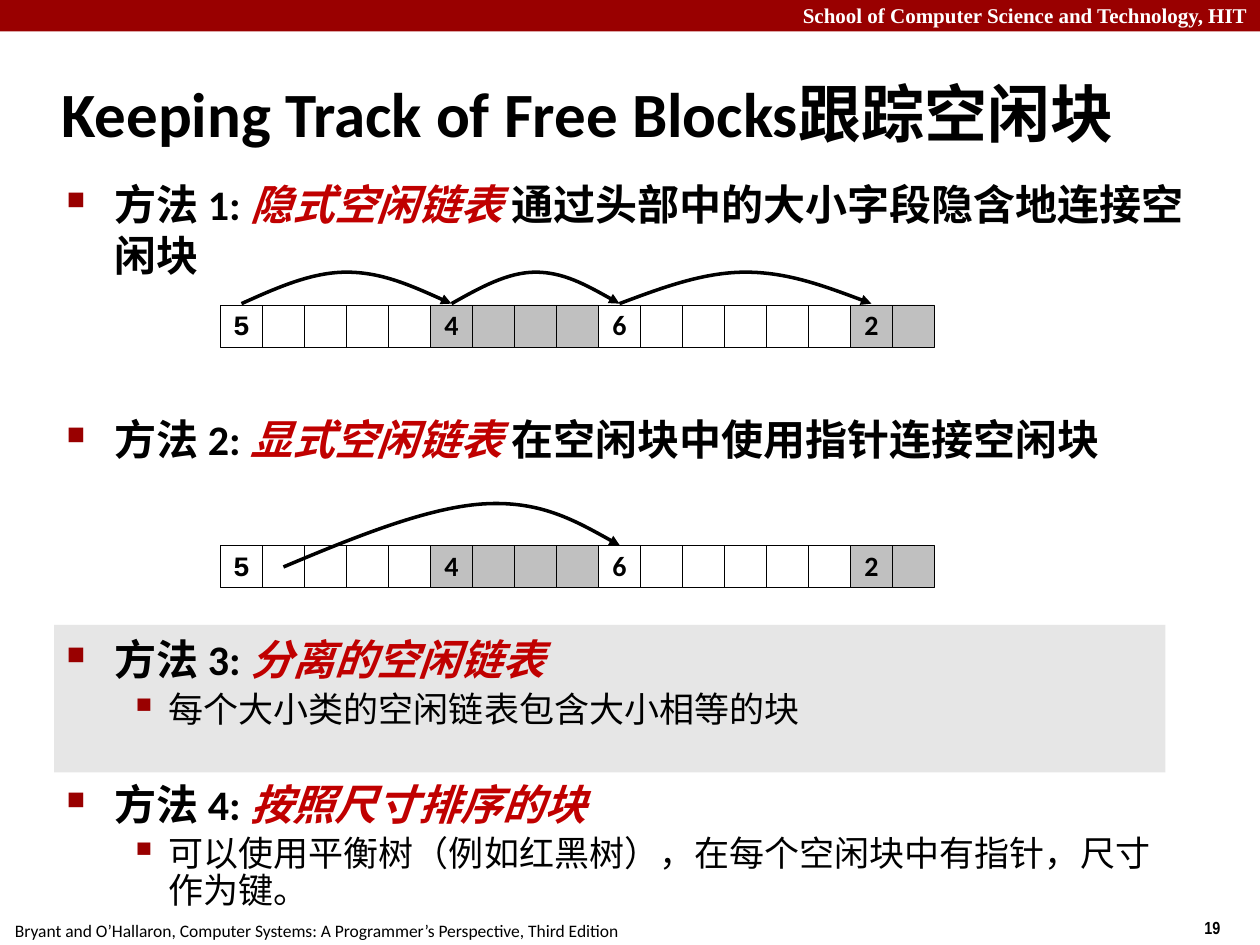
from dataclasses import dataclass

from lxml.etree import SubElement
from pptx import Presentation
from pptx.dml.color import RGBColor
from pptx.enum.shapes import MSO_SHAPE
from pptx.enum.text import MSO_ANCHOR, PP_ALIGN
from pptx.oxml.ns import qn
from pptx.util import Inches, Pt

BLACK = RGBColor(0x00, 0x00, 0x00)
WHITE = RGBColor(0xFF, 0xFF, 0xFF)
DARK_RED = RGBColor(0x99, 0x00, 0x00)
TERM_RED = RGBColor(0xC0, 0x00, 0x00)
BAND_GRAY = RGBColor(0xE6, 0xE6, 0xE6)
USED_GRAY = RGBColor(0xC0, 0xC0, 0xC0)

CELL = 1 / 3
HEAP_LEFT = 1.75


@dataclass(frozen=True)
class Block:
    size: int
    fill: RGBColor
    font: str = "Calibri"
    line_spacing: float = 0.98


@dataclass(frozen=True)
class Level:
    bullet: str
    bullet_size: int
    margin: float
    hanging: float
    size: int
    bold: bool


@dataclass(frozen=True)
class Method:
    label: str
    term: str
    rest: str = ""
    detail: str = ""
    before: float = 0
    line_spacing: float = 1.0


BLOCKS = [
    Block(5, WHITE, "Courier New", 0.94),
    Block(4, USED_GRAY),
    Block(6, WHITE),
    Block(2, USED_GRAY),
]
METHOD_LEVEL = Level("■", 60, 0.38, 0.38, 24, True)
DETAIL_LEVEL = Level("▪", 110, 0.81, 0.31, 20, False)
METHODS = [
    Method("方法 1: ", "隐式空闲链表 ", "通过头部中的大小字段隐含地连接空闲块"),
    Method("方法 2: ", "显式空闲链表 ", "在空闲块中使用指针连接空闲块", before=76.5),
    Method("方法 3: ", "分离的空闲链表", detail="每个大小类的空闲链表包含大小相等的块",
           before=102, line_spacing=0.83),
    Method("方法 4: ", "按照尺寸排序的块",
           detail="可以使用平衡树（例如红黑树），在每个空闲块中有指针，尺寸作为键。",
           before=32.5, line_spacing=0.83),
]


def add_run(p, text: str, *, size: float, font: str = "Calibri",
            color: RGBColor = BLACK, bold: bool = False, italic: bool = False) -> None:
    r = p.add_run()
    r.text = text
    r.font.size = Pt(size)
    r.font.name = font
    r.font.color.rgb = color
    r.font.bold = bold
    r.font.italic = italic


def add_text_box(s, x: float, y: float, w: float, h: float, wrap: bool = True):
    tf = s.shapes.add_textbox(Inches(x), Inches(y), Inches(w), Inches(h)).text_frame
    tf.word_wrap = wrap
    return tf


def add_rect(s, x: float, y: float, w: float, h: float, fill: RGBColor,
             outlined: bool = False):
    sp = s.shapes.add_shape(MSO_SHAPE.RECTANGLE, Inches(x), Inches(y), Inches(w), Inches(h))
    sp.shadow.inherit = False
    sp.fill.solid()
    sp.fill.fore_color.rgb = fill
    if outlined:
        sp.line.color.rgb = BLACK
        sp.line.width = Pt(0.25)
    else:
        sp.line.fill.background()
    return sp


def add_heap(s, y: float) -> None:
    """Draw the blocks as a row of words, each headed by its size."""
    x = HEAP_LEFT
    for block in BLOCKS:
        for word in range(block.size):
            sp = add_rect(s, x, y, CELL, CELL, block.fill, outlined=True)
            if word == 0:
                tf = sp.text_frame
                tf.word_wrap = False
                tf.vertical_anchor = MSO_ANCHOR.MIDDLE
                p = tf.paragraphs[0]
                p.alignment = PP_ALIGN.CENTER
                p.line_spacing = block.line_spacing
                add_run(p, str(block.size), size=16, font=block.font, bold=True)
            x += CELL


def add_curve(s, start: tuple[float, float], *points: tuple[float, float]) -> None:
    """Draw an arrow of cubic curves; every three points make one curve."""
    emu = [(Inches(x), Inches(y)) for x, y in points]
    fb = s.shapes.build_freeform(Inches(start[0]), Inches(start[1]))
    fb.add_line_segments(emu, close=False)
    sp = fb.convert_to_shape()
    sp.shadow.inherit = False
    sp.fill.background()
    sp.line.color.rgb = BLACK
    sp.line.width = Pt(2)
    SubElement(sp.line._get_or_add_ln(), qn("a:tailEnd"), type="triangle")

    segments = list(sp._element.iter(qn("a:lnTo")))
    outline = segments[0].getparent()
    for i, segment in enumerate(segments):
        if i % 3 == 0:
            curve = SubElement(outline, qn("a:cubicBezTo"))
        curve.append(segment[0])
        outline.remove(segment)


def add_header_link(s, first: int, last: int, y: float, peak: float) -> None:
    """Join the headers of two words by a symmetric arc."""
    x1, x2 = (HEAP_LEFT + (n + 0.5) * CELL for n in (first, last))
    step = (x2 - x1) / 6
    shoulder = (y + peak) / 2
    add_curve(s, (x1, y),
              (x1 + step, shoulder), (x1 + 2 * step, peak), (x1 + 3 * step, peak),
              (x1 + 4 * step, peak), (x1 + 5 * step, shoulder), (x2, y))


def format_bullet(p, level: Level) -> None:
    pPr = p._p.get_or_add_pPr()
    pPr.set("marL", str(Inches(level.margin)))
    pPr.set("indent", str(-Inches(level.hanging)))
    color = SubElement(pPr, qn("a:buClr"))
    SubElement(color, qn("a:srgbClr"), val=str(DARK_RED))
    SubElement(pPr, qn("a:buSzPct"), val=str(level.bullet_size * 1000))
    SubElement(pPr, qn("a:buChar"), char=level.bullet)


def add_methods(s) -> None:
    tf = add_text_box(s, 0.43, 1.37, 9.07, 5.88)
    for i, method in enumerate(METHODS):
        p = tf.add_paragraph() if i else tf.paragraphs[0]
        format_bullet(p, METHOD_LEVEL)
        p.line_spacing = method.line_spacing
        p.space_before = Pt(method.before)
        style = {"size": METHOD_LEVEL.size, "bold": METHOD_LEVEL.bold}
        add_run(p, method.label, **style)
        add_run(p, method.term, color=TERM_RED, italic=True, **style)
        if method.rest:
            add_run(p, method.rest, **style)
        if method.detail:
            p = tf.add_paragraph()
            p.level = 1
            format_bullet(p, DETAIL_LEVEL)
            p.line_spacing = 0.88
            p.space_before = Pt(5)
            add_run(p, method.detail, size=DETAIL_LEVEL.size, bold=DETAIL_LEVEL.bold)


def main() -> None:
    prs = Presentation()
    prs.slide_width, prs.slide_height = Inches(10), Inches(7.5)
    s = prs.slides.add_slide(prs.slide_layouts[6])

    # Header bar and footer
    add_rect(s, 0, 0, 10, 0.25, DARK_RED)
    p = add_text_box(s, 0, -0.03, 10, 0.3).paragraphs[0]
    p.alignment = PP_ALIGN.RIGHT
    add_run(p, "School of Computer Science and Technology, HIT", size=12,
            font="Times New Roman", color=WHITE, bold=True)
    p = add_text_box(s, 9.46, 7.23, 0.75, 0.27, wrap=False).paragraphs[0]
    add_run(p, "19", size=10, font="Arial Narrow", bold=True)
    p = add_text_box(s, 0.02, 7.25, 5.01, 0.27, wrap=False).paragraphs[0]
    add_run(p, "Bryant and O’Hallaron, Computer Systems: A Programmer’s Perspective, "
            "Third Edition", size=10)

    # Title
    tf = add_text_box(s, 0.39, 0.48, 9.11, 0.83)
    tf.vertical_anchor = MSO_ANCHOR.MIDDLE
    add_run(tf.paragraphs[0], "Keeping Track of Free Blocks跟踪空闲块", size=36, bold=True)

    # Methods, with a band behind the third
    add_rect(s, 0.43, 4.96, 8.82, 1.17, BAND_GRAY)
    add_methods(s)

    # Implicit list: each header leads to the next block
    add_heap(s, 2.42)
    first = 0
    for block in BLOCKS[:-1]:
        add_header_link(s, first, first + block.size, 2.41, 2.16)
        first += block.size

    # Explicit list: a pointer leads to the next free block
    add_heap(s, 4.33)
    add_curve(s, (2.25, 4.5), (2.82, 4.26), (3.39, 4.03), (3.83, 4),
              (4.28, 3.97), (4.6, 4.15), (4.92, 4.33))

    prs.save("out.pptx")


if __name__ == "__main__":
    main()
